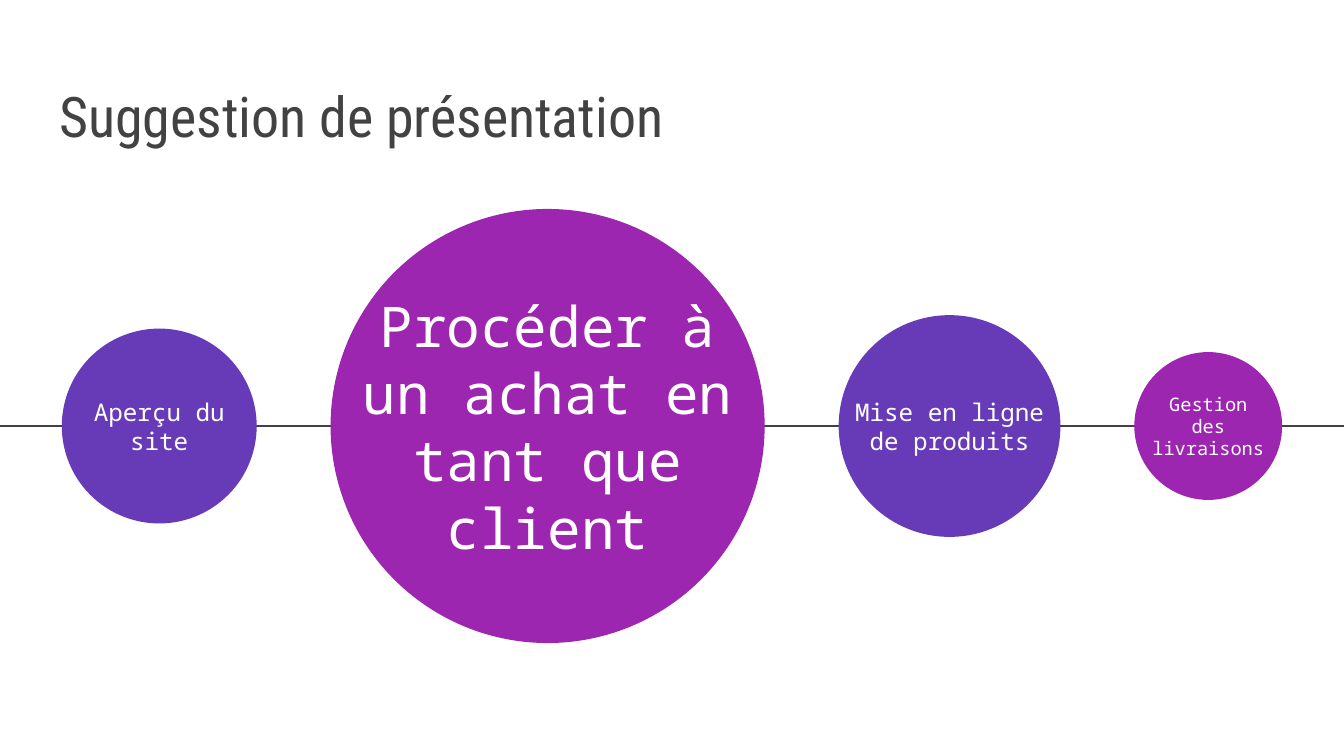
import pptx
import pptx.util
import pptx.dml.color
import pptx.enum.shapes
import pptx.enum.text
import pptx.oxml.ns
import lxml.etree

Inches = pptx.util.Inches

COLORS = {
    "ink": "424242",
    "violet": "673AB7",
    "magenta": "9C26B0",
    "white": "FFFFFF",
}
AXIS_Y = 3.17
FIRST_LEFT = 0.46
GAP = 0.55
LABEL_HEIGHT = 0.66

# Label, circle diameter, text size, circle colour
STEPS = [
    ("Aperçu du site", 1.45, 13, "violet"),
    ("Procéder à un achat en tant que client", 3.23, 30, "magenta"),
    ("Mise en ligne de produits", 1.65, 13, "violet"),
    ("Gestion des livraisons", 1.1, 10, "magenta"),
]


def color(name):
    return pptx.dml.color.RGBColor.from_string(COLORS[name])


def write_text(box, text, size, font_name, color_name, align, anchor):
    frame = box.text_frame
    frame.word_wrap = True
    frame.auto_size = pptx.enum.text.MSO_AUTO_SIZE.NONE
    frame.vertical_anchor = anchor
    frame.margin_left = frame.margin_right = Inches(0.1)
    frame.margin_top = frame.margin_bottom = Inches(0.1)
    para = frame.paragraphs[0]
    para.text = text
    para.alignment = align
    para.font.size = pptx.util.Pt(size)
    para.font.name = font_name
    para.font.color.rgb = color(color_name)


def add_axis(page):
    line = page.shapes.add_connector(
        pptx.enum.shapes.MSO_CONNECTOR.STRAIGHT,
        Inches(-0.01), Inches(AXIS_Y), Inches(10), Inches(AXIS_Y))
    line.line.color.rgb = color("ink")
    line.line.width = pptx.util.Pt(1.5)
    properties = line._element.spPr
    lxml.etree.SubElement(properties, pptx.oxml.ns.qn("a:effectLst"))


def set_title(page, text):
    title = page.shapes.title
    title.left, title.top = Inches(0.34), Inches(0.41)
    title.width, title.height = Inches(9.32), Inches(0.8)
    write_text(title, text, 30, "Roboto Condensed", "ink",
               pptx.enum.text.PP_ALIGN.LEFT,
               pptx.enum.text.MSO_ANCHOR.BOTTOM)


def add_step(page, left, label, diameter, size, fill):
    circle = page.shapes.add_shape(
        pptx.enum.shapes.MSO_SHAPE.OVAL,
        Inches(left), Inches(AXIS_Y - diameter / 2),
        Inches(diameter), Inches(diameter))
    circle.shadow.inherit = False
    circle.fill.solid()
    circle.fill.fore_color.rgb = color(fill)
    circle.line.fill.background()

    box = page.shapes.add_textbox(
        Inches(left), Inches(AXIS_Y - LABEL_HEIGHT / 2),
        Inches(diameter), Inches(LABEL_HEIGHT))
    write_text(box, label, size, "Noto Sans Mono", "white",
               pptx.enum.text.PP_ALIGN.CENTER,
               pptx.enum.text.MSO_ANCHOR.MIDDLE)


def main():
    # Widescreen slide, 16:9
    deck = pptx.Presentation()
    deck.slide_width = Inches(10)
    deck.slide_height = Inches(10 * 9 / 16)
    page = deck.slides.add_slide(deck.slide_layouts[5])
    page.background.fill.solid()
    page.background.fill.fore_color.rgb = color("white")

    add_axis(page)
    set_title(page, "Suggestion de présentation")

    # Circles follow one another along the axis at equal gaps
    left = FIRST_LEFT
    for label, diameter, size, fill in STEPS:
        add_step(page, left, label, diameter, size, fill)
        left += diameter + GAP

    deck.save("out.pptx")


if __name__ == "__main__":
    main()
